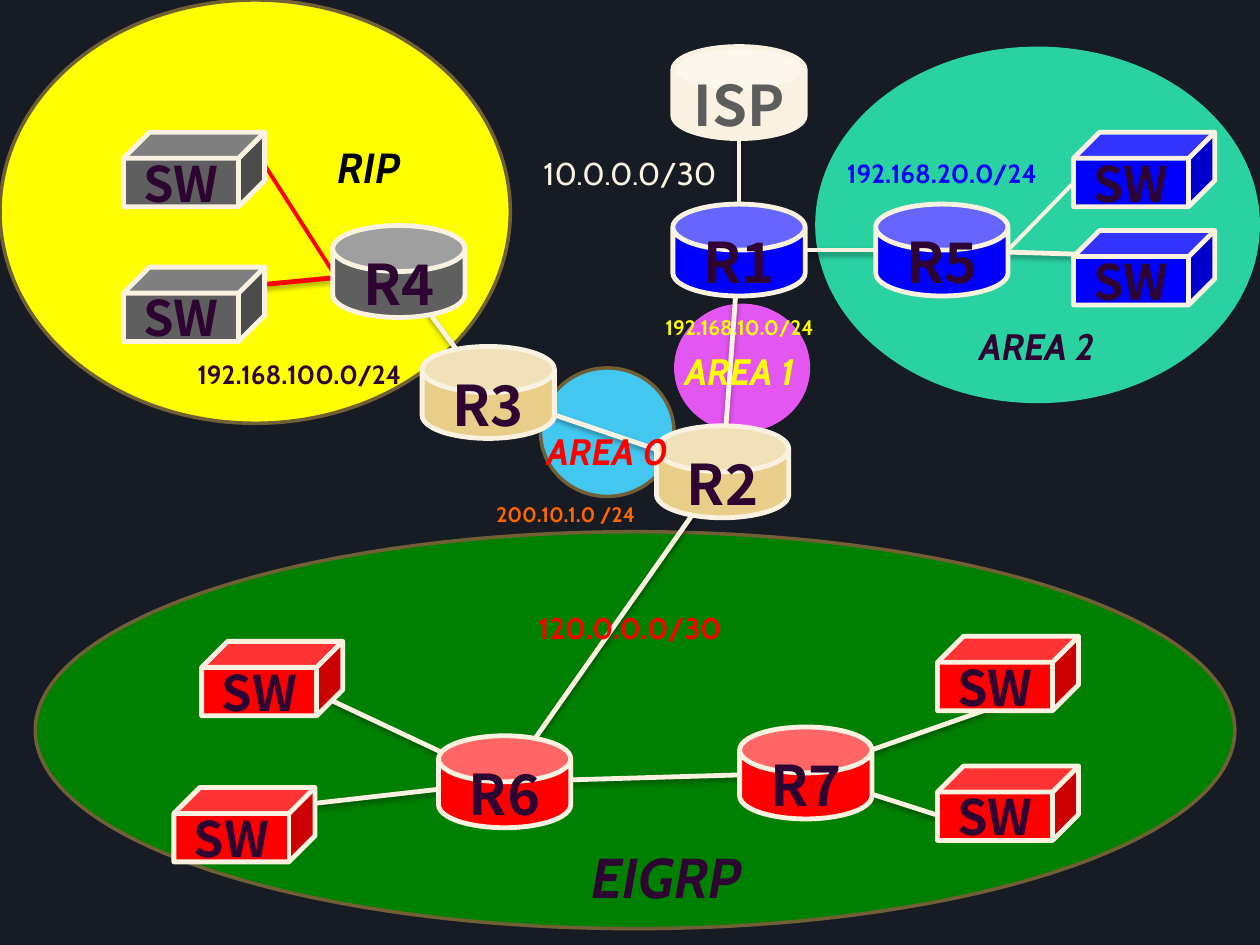
from lxml import etree
from pptx import Presentation, util as u
from pptx.dml.color import RGBColor
from pptx.enum import shapes, text
from pptx.oxml import parse_xml
from pptx.oxml.ns import nsdecls, qn

CREAM, PLUM, BRONZE = "F9F2E1", "2E0432", "716036"
RED, BLUE, GREY, SAND, YELLOW = "FF0000", "0000FF", "5F5F5F", "E9CE89", "FFFF00"
ROUTER_SIZE, SWITCH_SIZE = (1.05, 0.73), (1.12, 0.59)

# Routing areas: left, top, width, height, fill, outline
AREAS = [
    (0, 0, 4.05, 3.36, YELLOW, BRONZE),
    (4.29, 2.92, 1.06, 1.02, "42C7F1", BRONZE),
    (0.28, 4.22, 9.52, 3.15, "008000", BRONZE),
    (5.35, 2.41, 1.08, 1.02, "E456F1", None),
    (6.47, 0.37, 3.53, 2.83, "2BD2A1", None),
]

# Routers: left, top, fill, text colour
ROUTERS = {
    "ISP": (5.34, 0.37, CREAM, "5D5D5D"),
    "R1": (5.34, 1.62, BLUE, PLUM),
    "R2": (5.21, 3.38, SAND, PLUM),
    "R3": (3.35, 2.75, SAND, PLUM),
    "R4": (2.64, 1.79, GREY, PLUM),
    "R5": (6.95, 1.62, BLUE, PLUM),
    "R6": (3.48, 5.84, RED, PLUM),
    "R7": (5.87, 5.77, RED, PLUM),
}
BACKBONE = [("ISP", "R1"), ("R6", "R2"), ("R2", "R1"), ("R3", "R2"),
            ("R6", "R7"), ("R1", "R5"), ("R4", "R3")]

# Switches: left, top, fill, router, router port and switch port as shares
# of each box, link colour, link width
CENTRE, LEFT, RIGHT = (0.5, 0.5), (0, 0.5), (1, 0.5)
LID = (0.41, 0.34)
SWITCHES = [
    (1.6, 5.09, RED, "R6", CENTRE, LID, CREAM, 2.75),
    (1.38, 6.25, RED, "R6", CENTRE, LID, CREAM, 2.75),
    (8.52, 1.83, BLUE, "R5", CENTRE, LID, CREAM, 2.75),
    (0.98, 2.12, GREY, "R4", CENTRE, LID, RED, 2.75),
    (7.44, 6.08, RED, "R7", CENTRE, (0, 0.66), CREAM, 2.75),
    (7.44, 5.05, RED, "R7", CENTRE, (0.81, 0.68), CREAM, 2.75),
    (0.98, 1.05, GREY, "R4", LEFT, (1, 0.44), RED, 2.25),
    (8.52, 1.05, BLUE, "R5", RIGHT, (0, 0.68), CREAM, 2.25),
]

# Labels: wording, left, top, width, height, size, colour, bold, italic
LABELS = [
    ("EIGRP", 4.15, 6.64, 2.28, 0.62, 32, PLUM, True, True),
    ("AREA 1", 4.69, 2.72, 2.36, 0.45, 21, YELLOW, True, True),
    ("AREA 2", 7.05, 2.52, 2.36, 0.45, 21, PLUM, True, True),
    ("AREA 0", 3.64, 3.35, 2.36, 0.45, 21, RED, True, True),
    ("RIP", 2.1, 1.07, 1.65, 0.49, 24, "000000", True, True),
    ("10.0.0.0/30", 4.13, 1.17, 1.74, 0.39, 18, CREAM, False, False),
    ("192.168.20.0/24", 6.43, 1.2, 2.09, 0.34, 15, BLUE, True, False),
    ("192.168.10.0/24", 5, 2.45, 1.74, 0.3, 12, YELLOW, True, False),
    ("120.0.0.0/30", 3.83, 4.79, 2.34, 0.37, 17, RED, True, False),
    ("200.10.1.0 /24", 3.62, 3.93, 1.74, 0.3, 12, "FF6600", True, False),
    ("192.168.100.0/24", 1.23, 2.79, 2.29, 0.35, 15, PLUM, True, False),
]

SHADOW = (f'<a:effectLst {nsdecls("a")}><a:outerShdw blurRad="39370" dist="22860" '
          'dir="5400000"><a:srgbClr val="000000"><a:alpha val="35000"/></a:srgbClr>'
          '</a:outerShdw></a:effectLst>')


def rgb(value):
    return RGBColor.from_string(value)


def inches(values):
    return [u.Inches(value) for value in values]


def port(corner, size, share):
    return [start + length * part for start, length, part in zip(corner, size, share)]


def add_solid(slide, preset, box, fill, outline, width):
    solid = slide.shapes.add_shape(preset, *inches(box))
    solid.shadow.inherit = False
    solid.fill.solid()
    solid.fill.fore_color.rgb = rgb(fill)
    if outline:
        solid.line.color.rgb = rgb(outline)
        solid.line.width = u.Pt(width)
    else:
        solid.line.fill.background()
    return solid


def write(frame, wording, font, size, colour, bold=True, italic=False):
    frame.text = wording
    frame.word_wrap = True
    line = frame.paragraphs[0]
    line.alignment = text.PP_ALIGN.CENTER
    style = line.runs[0].font
    style.name, style.size, style.bold, style.italic = font, u.Pt(size), bold, italic
    style.color.rgb = rgb(colour)


def add_device(slide, preset, adjustment, box, fill, name, size, colour):
    device = add_solid(slide, preset, box, fill, CREAM, 2.75)
    device.adjustments[0] = adjustment
    device.text_frame.vertical_anchor = text.MSO_ANCHOR.MIDDLE
    write(device.text_frame, name, "Noto Sans CJK KR", size, colour)


def add_link(slide, start, end, colour=CREAM, width=2.75):
    link = slide.shapes.add_connector(shapes.MSO_CONNECTOR.STRAIGHT, *inches([*start, *end]))
    link.line.color.rgb = rgb(colour)
    link.line.width = u.Pt(width)
    properties = link._element.spPr
    if width > 2.5:
        properties.append(parse_xml(SHADOW))
    else:
        etree.SubElement(properties, qn("a:effectLst"))


def main():
    deck = Presentation()
    deck.slide_width, deck.slide_height = inches((10, 7.5))
    slide = deck.slides.add_slide(deck.slide_layouts[6])
    slide.background.fill.solid()
    slide.background.fill.fore_color.rgb = rgb("171B24")

    # Routing areas
    for *box, fill, outline in AREAS:
        add_solid(slide, shapes.MSO_SHAPE.OVAL, box, fill, outline, 2)

    # Links, behind the devices
    for pair in BACKBONE:
        add_link(slide, *(port(ROUTERS[name][:2], ROUTER_SIZE, CENTRE) for name in pair))
    for left, top, _, router, router_port, switch_port, colour, width in SWITCHES:
        add_link(slide, port(ROUTERS[router][:2], ROUTER_SIZE, router_port),
                 port((left, top), SWITCH_SIZE, switch_port), colour, width)

    # Devices
    for name, (left, top, fill, colour) in ROUTERS.items():
        add_device(slide, shapes.MSO_SHAPE.CAN, 0.5, (left, top, *ROUTER_SIZE),
                   fill, name, 32, colour)
    for left, top, fill, *_ in SWITCHES:
        add_device(slide, shapes.MSO_SHAPE.CUBE, 0.35, (left, top, *SWITCH_SIZE),
                   fill, "SW", 28, PLUM)

    # Area names and network addresses
    for wording, left, top, width, height, *style in LABELS:
        label = slide.shapes.add_textbox(*inches((left, top, width, height)))
        write(label.text_frame, wording, "Cabin", *style)
        label.text_frame.auto_size = text.MSO_AUTO_SIZE.SHAPE_TO_FIT_TEXT

    deck.save("out.pptx")


if __name__ == "__main__":
    main()
